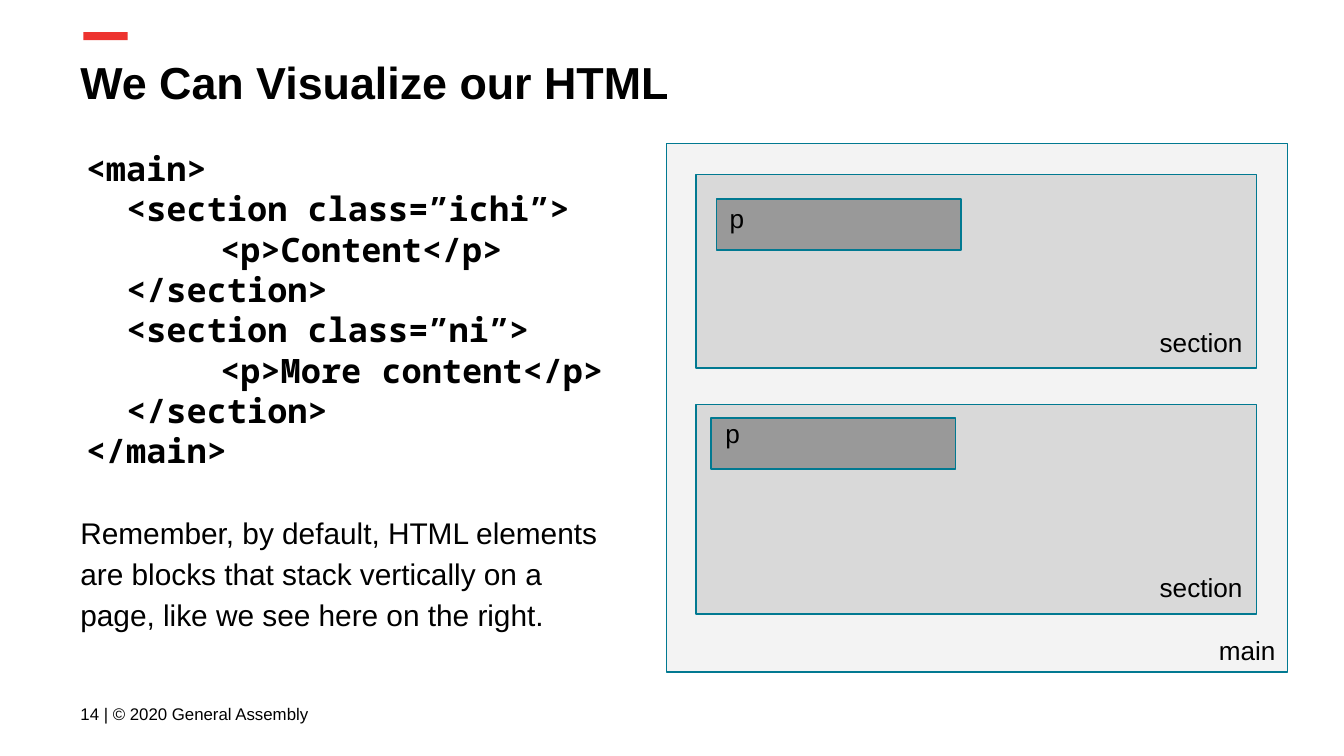
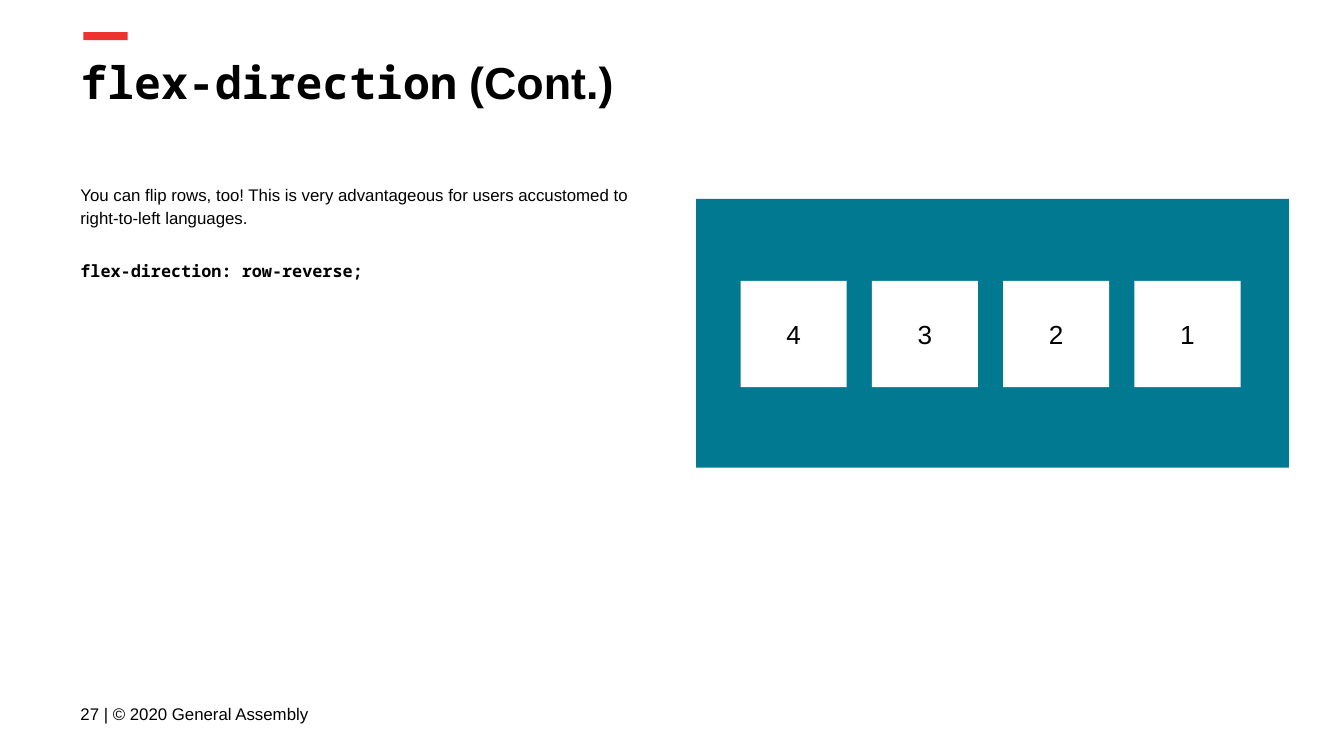
from dataclasses import dataclass

from lxml.etree import SubElement
from pptx import Presentation
from pptx.dml.color import RGBColor
from pptx.enum.shapes import MSO_SHAPE as Shape
from pptx.enum.text import MSO_ANCHOR as Anchor, PP_ALIGN as Align
from pptx.oxml.ns import qn
from pptx.util import Inches, Pt


@dataclass(frozen=True)
class Theme:
    text: str = "000000"
    accent: str = "ED332F"
    teal: str = "017991"
    main: str = "F3F3F3"
    section: str = "D9D9D9"
    paragraph: str = "999999"
    tile: str = "FFFFFF"
    sans: str = "Arial"
    mono: str = "Noto Sans Mono"
    title_size: int = 24
    code_size: int = 18
    note_size: int = 16
    label_size: int = 14
    small_size: int = 9


THEME = Theme()
WIDTH, MARGIN = 10, 0.5
HEIGHT = WIDTH * 9 / 16

# Boxes are (left, top, width, height) in inches.
ACCENT_BOX = (0.62, 0.24, 0.33, 0.06)
TITLE_BOX = (MARGIN, 0.31, 9.32, 0.63)
FOOTER_BOX = (MARGIN, 5.1, 2.59, 0.43)
FOOTER = "{} | © 2020 General Assembly"

# A title is a list of (text, font) runs.
HTML_TITLE = [("We Can Visualize our HTML", THEME.sans)]
HTML_CODE = """<main>
  <section class=”ichi”>
\t<p>Content</p>
  </section>
  <section class=”ni”>
\t<p>More content</p>
  </section>
</main>"""
CODE_TAB = 1
HTML_NOTE = ("Remember, by default, HTML elements are blocks that stack "
             "vertically on a page, like we see here on the right.")
SECTION_LEFT, SECTION_WIDTH = 5.18, 4.17
ELEMENT_SIZE = (1.82, 0.38)
ELEMENTS = [
    (THEME.main, (4.96, 1.07, 4.62, 3.93)),
    (THEME.section, (SECTION_LEFT, 1.3, SECTION_WIDTH, 1.44)),
    (THEME.section, (SECTION_LEFT, 3.01, SECTION_WIDTH, 1.56)),
    (THEME.paragraph, (5.33, 1.48, *ELEMENT_SIZE)),
    (THEME.paragraph, (5.29, 3.11, *ELEMENT_SIZE)),
]
LABEL_HEIGHT = 0.33
# Tag, left, top, width, line spacing
ELEMENT_LABELS = [
    ("main", 8.97, 4.62, 0.67, None),
    ("section", 8.53, 4.15, 0.89, None),
    ("section", 8.53, 2.33, 0.89, None),
    ("p", 5.33, 1.55, 0.3, 0.5),
    ("p", 5.3, 3.15, 0.3, 0.5),
]

FLEX_TITLE = [("flex-direction", THEME.mono), (" (Cont.)", THEME.sans)]
FLEX_BODY = ("You can flip rows, too! This is very advantageous for users "
             "accustomed to right-to-left languages.")
FLEX_RULE = "flex-direction: row-reverse;"
FLEX_ITEMS = ["4", "3", "2", "1"]
FLEX_CONTAINER = (5.18, 1.48, 4.41, 2)
ITEM_SIDE, ITEMS_LEFT, ITEMS_TOP, ITEMS_WIDTH = 0.79, 5.51, 2.09, 3.72


def style_font(font, size, name=THEME.sans, bold=False):
    font.size, font.name, font.bold = Pt(size), name, bold
    font.color.rgb = RGBColor.from_string(THEME.text)


def set_text(shape, text, size, name=THEME.sans, bold=False, spacing=None,
             anchor=Anchor.TOP, align=Align.LEFT):
    frame = shape.text_frame
    frame.word_wrap = True
    frame.vertical_anchor = anchor
    frame.margin_left = frame.margin_right = Inches(0.1)
    frame.margin_top = frame.margin_bottom = Inches(0.1)
    frame.text = text
    for paragraph in frame.paragraphs:
        paragraph.alignment = align
        if spacing:
            paragraph.line_spacing = spacing
        for run in paragraph.runs:
            style_font(run.font, size, name, bold)
    return frame


def add_text(slide, box, text, size, **style):
    textbox = slide.shapes.add_textbox(*map(Inches, box))
    return set_text(textbox, text, size, **style)


def add_tab_stop(paragraph, position):
    stops = SubElement(paragraph._p.get_or_add_pPr(), qn("a:tabLst"))
    SubElement(stops, qn("a:tab"), pos=str(Inches(position)), algn="l")


def add_block(slide, box, fill, line=None):
    block = slide.shapes.add_shape(Shape.RECTANGLE, *map(Inches, box))
    block.shadow.inherit = False
    block.fill.solid()
    block.fill.fore_color.rgb = RGBColor.from_string(fill)
    if line:
        block.line.color.rgb = RGBColor.from_string(line)
        block.line.width = Pt(0.75)
    else:
        block.line.fill.background()
    return block


def start_slide(deck, title, number):
    """Add a blank slide with the shared accent, title and footer."""
    slide = deck.slides.add_slide(deck.slide_layouts[6])
    add_block(slide, ACCENT_BOX, THEME.accent)
    heading = add_text(slide, TITLE_BOX, "", THEME.title_size).paragraphs[0]
    for text, name in title:
        run = heading.add_run()
        run.text = text
        style_font(run.font, THEME.title_size, name, bold=True)
    add_text(slide, FOOTER_BOX, FOOTER.format(number), THEME.small_size,
             anchor=Anchor.MIDDLE)
    return slide


def build_html_slide(deck):
    slide = start_slide(deck, HTML_TITLE, 14)
    code = add_text(slide, (0.54, 1, 4.31, 2.69), HTML_CODE, THEME.code_size,
                    name=THEME.mono, bold=True)
    for code_line in code.paragraphs:
        add_tab_stop(code_line, CODE_TAB)
    add_text(slide, (MARGIN, 3.69, 4.17, 0.68), HTML_NOTE, THEME.note_size,
             spacing=1.15)
    for fill, box in ELEMENTS:
        add_block(slide, box, fill, THEME.teal)
    for tag, left, top, width, spacing in ELEMENT_LABELS:
        add_text(slide, (left, top, width, LABEL_HEIGHT), tag,
                 THEME.label_size, spacing=spacing)


def build_flex_slide(deck):
    slide = start_slide(deck, FLEX_TITLE, 27)
    body = add_text(slide, (MARGIN, 1.25, 4.5, 3.21),
                    f"{FLEX_BODY}\n{FLEX_RULE}", THEME.small_size, spacing=1.15)
    rule = body.paragraphs[1]
    rule.space_before = rule.space_after = Pt(16)
    style_font(rule.runs[0].font, THEME.small_size, THEME.mono, bold=True)

    add_block(slide, FLEX_CONTAINER, THEME.teal)
    pitch = (ITEMS_WIDTH - ITEM_SIDE) / (len(FLEX_ITEMS) - 1)
    for column, item in enumerate(FLEX_ITEMS):
        box = (ITEMS_LEFT + column * pitch, ITEMS_TOP, ITEM_SIDE, ITEM_SIDE)
        set_text(add_block(slide, box, THEME.tile), item, THEME.label_size,
                 anchor=Anchor.MIDDLE, align=Align.CENTER)


def main():
    deck = Presentation()
    deck.slide_width, deck.slide_height = Inches(WIDTH), Inches(HEIGHT)
    build_html_slide(deck)
    build_flex_slide(deck)
    deck.save("out.pptx")


if __name__ == "__main__":
    main()
